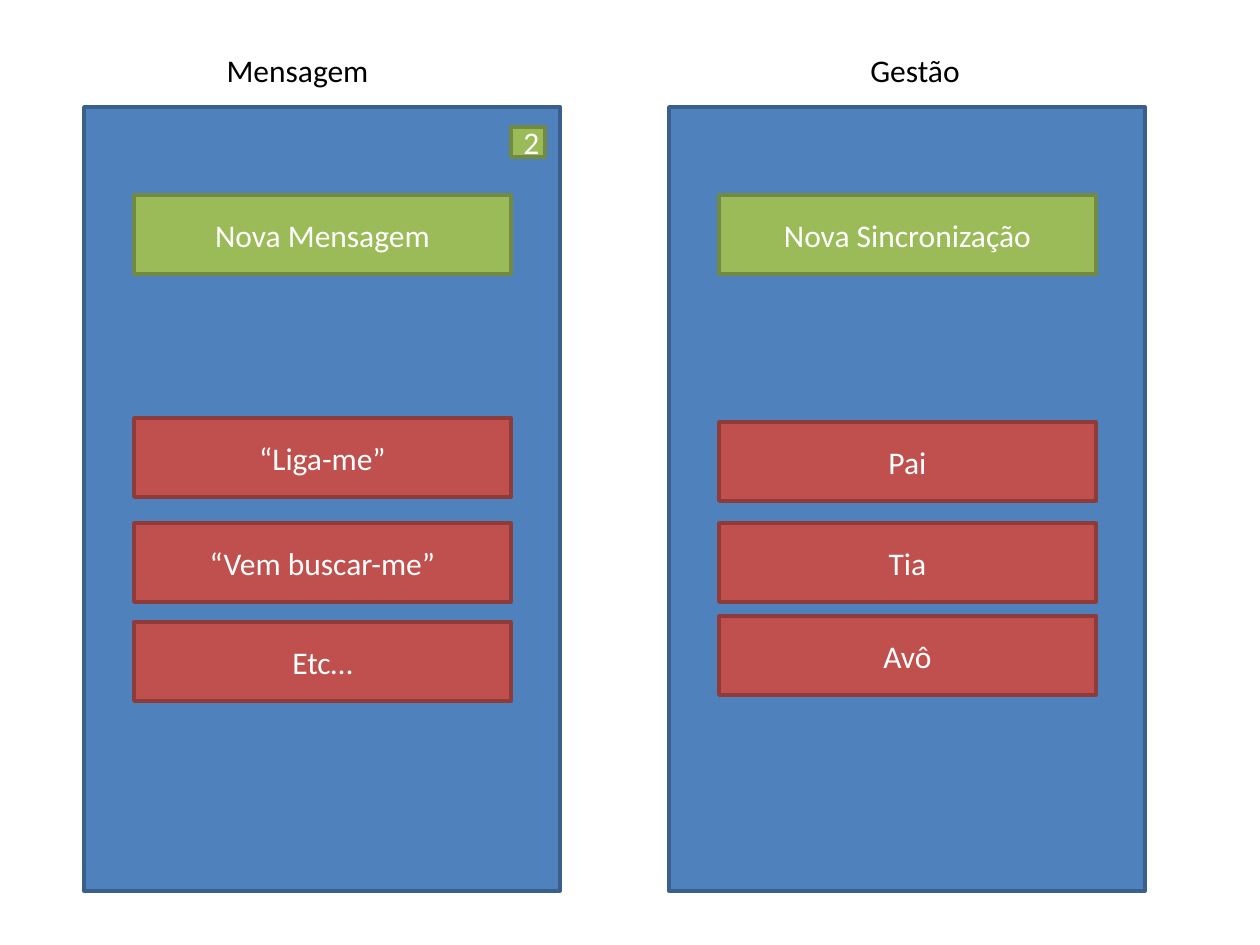
from pptx import Presentation
from pptx import util as u
from pptx.dml.color import RGBColor
from pptx.enum import shapes, text

PX = u.Inches(1) / 126
BLUE = ("4F81BD", "3A5F8C")
GREEN = ("9BBB59", "738A42")
RED = ("C0504D", "8E3B39")


def emu(*lengths):
    return [u.Emu(round(length * PX)) for length in lengths]


def color(code):
    return RGBColor.from_string(code)


class Mockup:
    """Holds the text style and the slide being drawn."""
    font = "Calibri"
    size = u.Pt(18)

    def __init__(self, slide):
        self.slide = slide

    def label(self, frame, words, ink, align):
        frame.text = words
        para = frame.paragraphs[0]
        para.alignment = align
        span = para.runs[0]
        span.font.name = self.font
        span.font.size = self.size
        span.font.color.rgb = color(ink)

    def block(self, x, y, width, height, colors, words=""):
        box = self.slide.shapes.add_shape(
            shapes.MSO_SHAPE.RECTANGLE, *emu(x, y, width, height))
        fill, line = colors
        box.shadow.inherit = False
        box.fill.solid()
        box.fill.fore_color.rgb = color(fill)
        box.line.color.rgb = color(line)
        box.line.width = u.Pt(2)
        if words:
            box.text_frame.vertical_anchor = text.MSO_ANCHOR.MIDDLE
            self.label(box.text_frame, words, "FFFFFF", text.PP_ALIGN.CENTER)

    def heading(self, x, width, words, align):
        box = self.slide.shapes.add_textbox(*emu(x, 45, width, 50))
        frame = box.text_frame
        frame.word_wrap = False
        frame.auto_size = text.MSO_AUTO_SIZE.SHAPE_TO_FIT_TEXT
        self.label(frame, words, "000000", align)

    def screen(self, x, action, options):
        """Draws a phone screen: one green action above red options."""
        self.block(x, 107, 476, 784, BLUE)
        self.block(x + 50, 195, 377, 79, GREEN, action)
        for y, words in options:
            self.block(x + 50, y, 377, 79, RED, words)


def main():
    deck = Presentation()
    deck.slide_width, deck.slide_height = emu(1260, 945)
    mockup = Mockup(deck.slides.add_slide(deck.slide_layouts[6]))

    mockup.screen(84, "Nova Mensagem", [
        (418, "“Liga-me”"), (523, "“Vem buscar-me”"), (622, "Etc…")])
    mockup.block(511, 127, 34, 30, GREEN, "2")
    mockup.screen(669, "Nova Sincronização", [
        (422, "Pai"), (523, "Tia"), (616, "Avô")])

    mockup.heading(213, 169, "Mensagem", text.PP_ALIGN.CENTER)
    mockup.heading(858, 116, "Gestão", text.PP_ALIGN.LEFT)
    deck.save("out.pptx")


if __name__ == "__main__":
    main()
